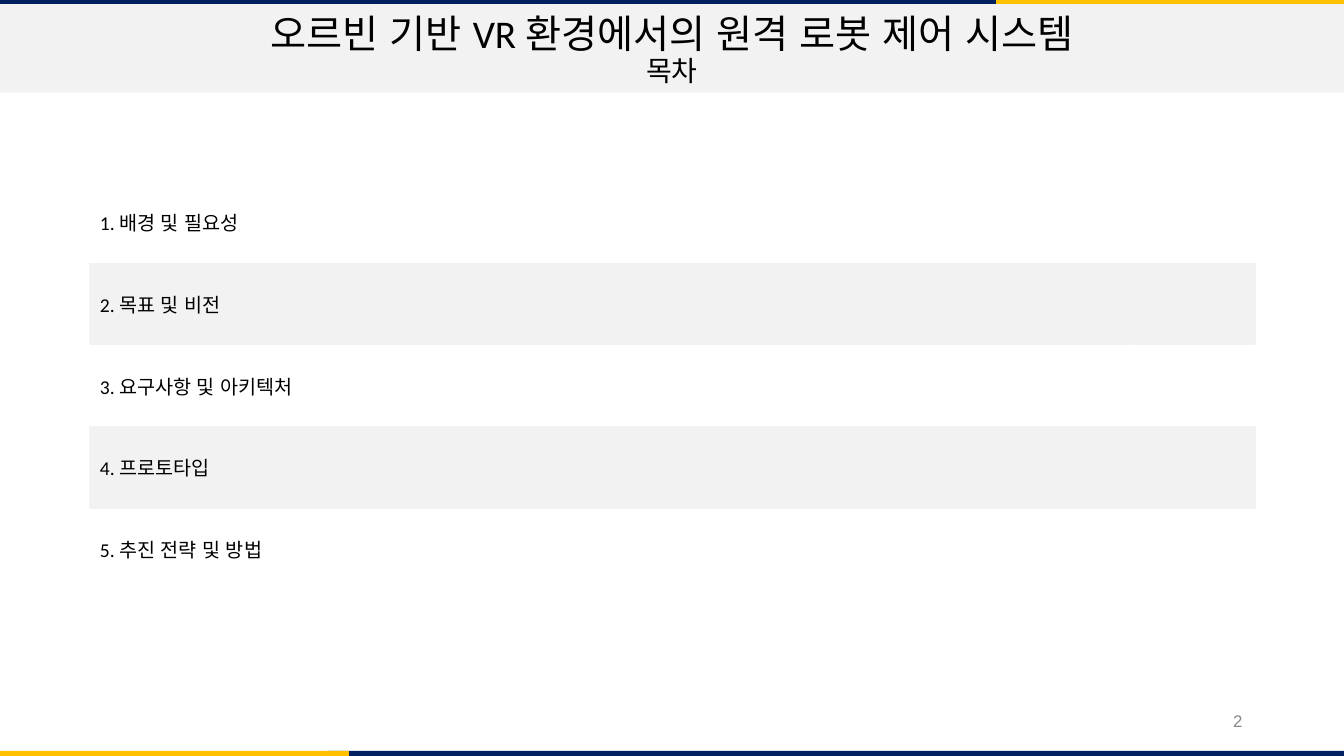
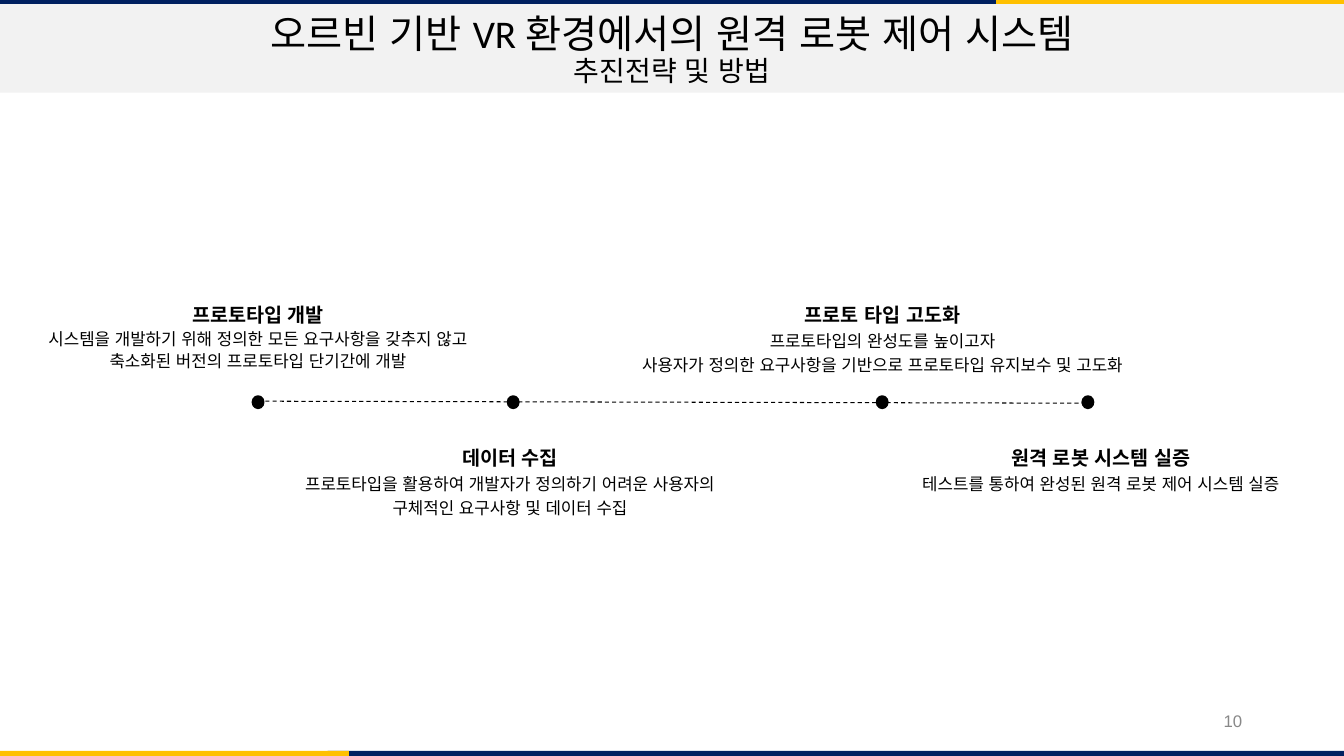
from pptx import Presentation
from pptx.dml.color import RGBColor
from pptx.enum.dml import MSO_LINE
from pptx.enum.lang import MSO_LANGUAGE_ID
from pptx.enum.shapes import MSO_CONNECTOR, MSO_SHAPE
from pptx.enum.text import MSO_ANCHOR, MSO_AUTO_SIZE, PP_ALIGN
from pptx.oxml.ns import qn
from pptx.util import Inches, Pt
from lxml import etree

CENTER, RIGHT = PP_ALIGN.CENTER, PP_ALIGN.RIGHT
MIDDLE = MSO_ANCHOR.MIDDLE
KOREAN = MSO_LANGUAGE_ID.KOREAN
WIDTH, HEIGHT = 13.33, 7.5
COLORS = {"navy": "002060", "gold": "FFC000", "pale": "F2F2F2",
          "white": "FFFFFF", "text": "000000", "number": "888888"}
LATIN, HANGUL, NUMBER_FONT = "Calibri", "Noto Sans CJK KR", "Arial"

PROJECT = "오르빈 기반 VR 환경에서의 원격 로봇 제어 시스템"
# left, top, width, height, colour
BANDS = [
    (3.25, 7.45, 10.1, 0.05, "navy"),
    (0, 7.45, 3.46, 0.05, "gold"),
    (-0.01, -0.01, 10.1, 0.05, "navy"),
    (9.88, -0.01, 3.46, 0.05, "gold"),
    (0, 0.04, WIDTH, 0.88, "pale"),
]
CONTENTS = ["배경 및 필요성", "목표 및 비전", "요구사항 및 아키텍처",
            "프로토타입", "추진 전략 및 방법"]
MILESTONES = [
    {"dot": 2.56, "box": (0.33, 2.93, 4.46, 1.05), "spacing": 1.1,
     "name": "프로토타입 개발",
     "details": ["시스템을 개발하기 위해 정의한 모든 요구사항을 갖추지 않고 "
                 "축소화된 버전의 프로토타입 단기간에 개발"]},
    {"dot": 5.09, "box": (2.61, 4.33, 4.9, 1.44), "spacing": 1.2,
     "name": "데이터 수집",
     "details": ["프로토타입을 활용하여 개발자가 정의하기 어려운 사용자의 "
                 "구체적인 요구사항 및 데이터 수집"]},
    {"dot": 8.75, "box": (5.87, 2.91, 5.77, 1.15), "spacing": 1.2,
     "name": "프로토 타입 고도화",
     "details": ["프로토타입의 완성도를 높이고자",
                 "사용자가 정의한 요구사항을 기반으로 프로토타입 유지보수 및 고도화"]},
    {"dot": 10.79, "box": (8.7, 4.33, 4.44, 1.44), "spacing": 1.2,
     "name": "원격 로봇 시스템 실증",
     "details": ["테스트를 통하여 완성된 원격 로봇 제어 시스템 실증"]},
]
TIMELINE_Y = 3.99
DOT_WIDTH, DOT_HEIGHT = 0.1, 0.11


def rgb(name):
    return RGBColor.from_string(COLORS[name])


def place(shape, left, top, width, height):
    shape.left, shape.top = Inches(left), Inches(top)
    shape.width, shape.height = Inches(width), Inches(height)


def add_filled(slide, kind, box, color):
    shape = slide.shapes.add_shape(kind, *(Inches(value) for value in box))
    shape.shadow.inherit = False
    shape.fill.solid()
    shape.fill.fore_color.rgb = rgb(color)
    shape.line.fill.background()
    return shape


def format_paragraph(paragraph, size, font=LATIN, color="text", bold=False,
                     align=None, spacing=None):
    paragraph.alignment = align
    paragraph.line_spacing = spacing
    paragraph.space_before = Pt(0)
    for run in paragraph.runs:
        run.font.size, run.font.bold = Pt(size), bold
        run.font.name = font
        run.font.color.rgb = rgb(color)
        run.font.language_id = KOREAN
        if font == HANGUL:
            east_asian = etree.SubElement(run.font._element, qn("a:ea"))
            east_asian.set("typeface", font)


def remove_bullet(paragraph):
    properties = paragraph._p.get_or_add_pPr()
    properties.set("marL", "0")
    properties.set("indent", "0")
    etree.SubElement(properties, qn("a:buNone"))


def move_bands_to_master(presentation, slide):
    """Draw the bands on a slide, then put them behind the master's placeholders."""
    tree = presentation.slide_master.shapes._spTree
    for index, (*box, color) in enumerate(BANDS):
        band = add_filled(slide, MSO_SHAPE.RECTANGLE, box, color)
        band.name = f"Band {index + 1}"
        band._element.nvSpPr.cNvPr.set("id", str(100 + index))
        tree.insert(2 + index, band._element)


def add_slide(presentation, layout, subtitle, number):
    slide = presentation.slides.add_slide(presentation.slide_layouts[layout])
    title = slide.shapes.title
    place(title, 1.43, 0.04, 10.47, 0.93)
    frame = title.text_frame
    frame.text = f"{PROJECT}\n{subtitle}"
    frame.auto_size, frame.vertical_anchor = MSO_AUTO_SIZE.NONE, MIDDLE
    frame.margin_top = frame.margin_bottom = 0
    for paragraph, size in zip(frame.paragraphs, (28, 20)):
        format_paragraph(paragraph, size, align=CENTER, spacing=0.9)

    box = slide.shapes.add_textbox(Inches(9.42), Inches(6.95), Inches(3), Inches(0.4))
    box.text_frame.word_wrap = True
    box.text_frame.vertical_anchor = MIDDLE
    box.text_frame.text = str(number)
    format_paragraph(box.text_frame.paragraphs[0], 12, NUMBER_FONT, "number", align=RIGHT)
    return slide


def set_borders(cell, sides, top, bottom):
    properties = cell._tc.get_or_add_tcPr()
    for tag, color in (("lnL", sides), ("lnR", sides), ("lnT", top), ("lnB", bottom)):
        line = etree.SubElement(properties, qn(f"a:{tag}"), w=str(Pt(0.75)))
        fill = etree.SubElement(line, qn("a:solidFill"))
        etree.SubElement(fill, qn("a:srgbClr"), val=COLORS[color])


def add_contents_table(slide):
    columns, row_height = (10.31, 1.25), 0.81
    rows = len(CONTENTS)
    table = slide.shapes.add_table(
        rows, len(columns), Inches(0.89), Inches(1.8),
        Inches(sum(columns)), Inches(rows * row_height)).table
    table.first_row = table.horz_banding = False
    for column, width in zip(table.columns, columns):
        column.width = Inches(width)
    for index, entry in enumerate(CONTENTS):
        shaded = index % 2 == 1
        for cell in table.rows[index].cells:
            set_borders(cell, "pale" if shaded else "white",
                        "pale" if index else "white",
                        "pale" if index < rows - 1 else "white")
            if shaded:
                cell.fill.solid()
                cell.fill.fore_color.rgb = rgb("pale")
            else:
                cell.fill.background()
            cell.vertical_anchor = MIDDLE
            cell.margin_left = cell.margin_right = Inches(0.1)
            cell.margin_top = cell.margin_bottom = Inches(0.1)
        cell = table.cell(index, 0)
        cell.text = f"{index + 1}. {entry}"
        format_paragraph(cell.text_frame.paragraphs[0], 14)


def add_timeline(slide):
    first, last = MILESTONES[0]["dot"], MILESTONES[-1]["dot"]
    line = slide.shapes.add_connector(
        MSO_CONNECTOR.STRAIGHT, Inches(first), Inches(TIMELINE_Y - 0.01),
        Inches(last), Inches(TIMELINE_Y + 0.01))
    line.line.color.rgb = rgb("text")
    line.line.width = Pt(0.75)
    line.line.dash_style = MSO_LINE.DASH
    etree.SubElement(line._element.spPr, qn("a:effectLst"))

    for milestone in MILESTONES:
        dot = add_filled(slide, MSO_SHAPE.OVAL,
                         (milestone["dot"] - DOT_WIDTH / 2, TIMELINE_Y - DOT_HEIGHT / 2,
                          DOT_WIDTH, DOT_HEIGHT), "text")
        dot.line.color.rgb = rgb("text")
        dot.line.width = Pt(2)


def add_milestone_texts(slide):
    """Use the body placeholder for the first milestone and text boxes for the rest."""
    for index, milestone in enumerate(MILESTONES):
        if index == 0:
            shape = slide.placeholders[1]
        else:
            shape = slide.shapes.add_textbox(0, 0, 0, 0)
        place(shape, *milestone["box"])
        frame = shape.text_frame
        frame.word_wrap, frame.auto_size = True, MSO_AUTO_SIZE.NONE
        frame.text = "\n".join([milestone["name"], *milestone["details"]])
        for position, paragraph in enumerate(frame.paragraphs):
            heading = position == 0
            remove_bullet(paragraph)
            format_paragraph(paragraph, 14 if heading else 12, HANGUL, bold=heading,
                             align=CENTER, spacing=milestone["spacing"])


def main():
    presentation = Presentation()
    presentation.slide_width, presentation.slide_height = Inches(WIDTH), Inches(HEIGHT)

    contents = add_slide(presentation, 5, "목차", 2)
    move_bands_to_master(presentation, contents)
    add_contents_table(contents)

    strategy = add_slide(presentation, 1, "추진전략 및 방법", 10)
    add_timeline(strategy)
    add_milestone_texts(strategy)

    presentation.save("out.pptx")


if __name__ == "__main__":
    main()
